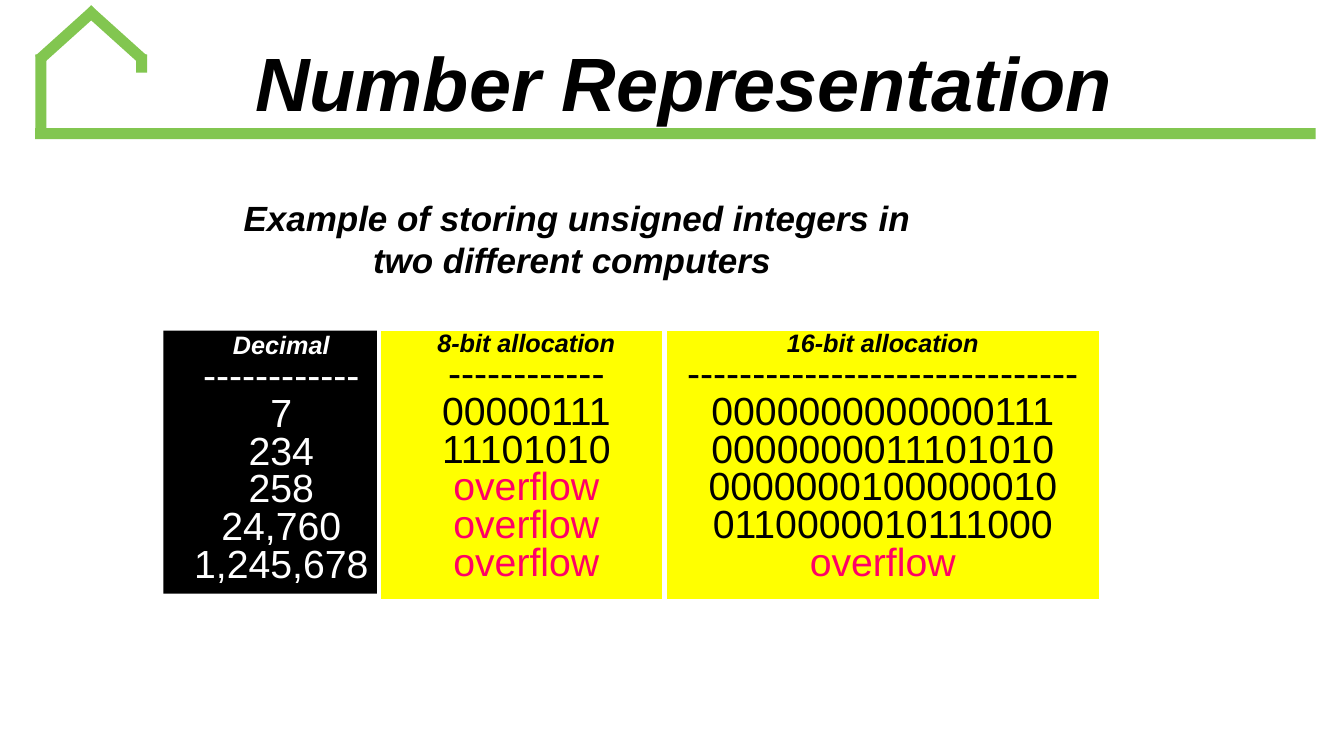
from pptx import Presentation
from pptx.dml.color import RGBColor
from pptx.enum import shapes, text
from pptx.util import Inches, Pt

GREEN = RGBColor(0x82, 0xC6, 0x50)
BLACK = RGBColor(0, 0, 0)
WHITE = RGBColor(0xFF, 0xFF, 0xFF)
YELLOW = RGBColor(0xFF, 0xFF, 0)
PINK = RGBColor(0xFF, 0, 0x66)
FONT = "Arial"

BARS = [
    (0.35, 1.27, 12.7, 0.11, 0),
    (0.35, 0.54, 0.11, 0.8, 0),
    (1.35, 0.54, 0.11, 0.18, 0),
    (0.61, -0.03, 0.11, 0.75, 48),
    (1.09, -0.03, 0.11, 0.75, 312),
]
DECIMAL = ["7", "234", "258", "24,760", "1,245,678"]
BYTE = ["00000111", "11101010", "overflow", "overflow", "overflow"]
WORD = ["0000000000000111", "0000000011101010", "0000000100000010",
        "0110000010111000", "overflow"]


def add_rect(slide, box, fill):
    rect = slide.shapes.add_shape(shapes.MSO_SHAPE.RECTANGLE, *map(Inches, box))
    rect.shadow.inherit = False
    rect.fill.solid()
    rect.fill.fore_color.rgb = fill
    rect.line.fill.background()
    return rect


def add_bar(slide, left, top, width, height, turn):
    bar = add_rect(slide, (left, top, width, height), GREEN)
    bar.rotation = turn


def write(frame, lines, space=1.0):
    frame.word_wrap = True
    for i, (words, size, color, strong) in enumerate(lines):
        para = frame.paragraphs[0] if i == 0 else frame.add_paragraph()
        para.alignment = text.PP_ALIGN.CENTER
        para.line_spacing = space
        run = para.add_run()
        run.text = words
        font = run.font
        font.name = FONT
        font.size = Pt(size)
        font.bold = font.italic = strong
        font.color.rgb = color


def add_title(slide, words):
    title = slide.shapes.title
    title.left, title.top = Inches(1.4), Inches(0.47)
    title.width, title.height = Inches(10.76), Inches(0.79)
    frame = title.text_frame
    frame.auto_size = text.MSO_AUTO_SIZE.NONE
    frame.vertical_anchor = text.MSO_ANCHOR.MIDDLE
    write(frame, [(words, 54, BLACK, True)], 0.9)


def add_intro(slide, lines):
    box = slide.shapes.add_textbox(*map(Inches, (0.77, 1.9, 9.9, 0.94)))
    write(box.text_frame, [(line, 25, BLACK, True) for line in lines])


def add_column(slide, box, fill, color, head, dashes, values):
    rect = add_rect(slide, box, fill)
    if fill == YELLOW:
        rect.line.color.rgb = WHITE
        rect.line.width = Pt(3)
    lines = [(head, 18, color, True), ("-" * dashes, 28, color, False)]
    for value in values:
        lines.append((value, 28, PINK if value == "overflow" else color, False))
    rect.text_frame.vertical_anchor = text.MSO_ANCHOR.TOP
    write(rect.text_frame, lines, 0.8)


def main():
    deck = Presentation()
    deck.slide_width, deck.slide_height = Inches(13.33), Inches(7.5)
    slide = deck.slides.add_slide(deck.slide_layouts[5])
    for bar in BARS:
        add_bar(slide, *bar)
    add_title(slide, "Number Representation")
    add_intro(slide, ["Example of storing unsigned integers in",
                      "two different computers "])
    add_column(slide, (1.62, 3.28, 2.34, 2.61), BLACK, WHITE,
               "Decimal", 12, DECIMAL)
    add_column(slide, (3.76, 3.26, 2.92, 2.7), YELLOW, BLACK,
               "8-bit allocation", 12, BYTE)
    add_column(slide, (6.59, 3.26, 4.33, 2.7), YELLOW, BLACK,
               "16-bit allocation", 30, WORD)
    deck.save("out.pptx")


if __name__ == "__main__":
    main()
